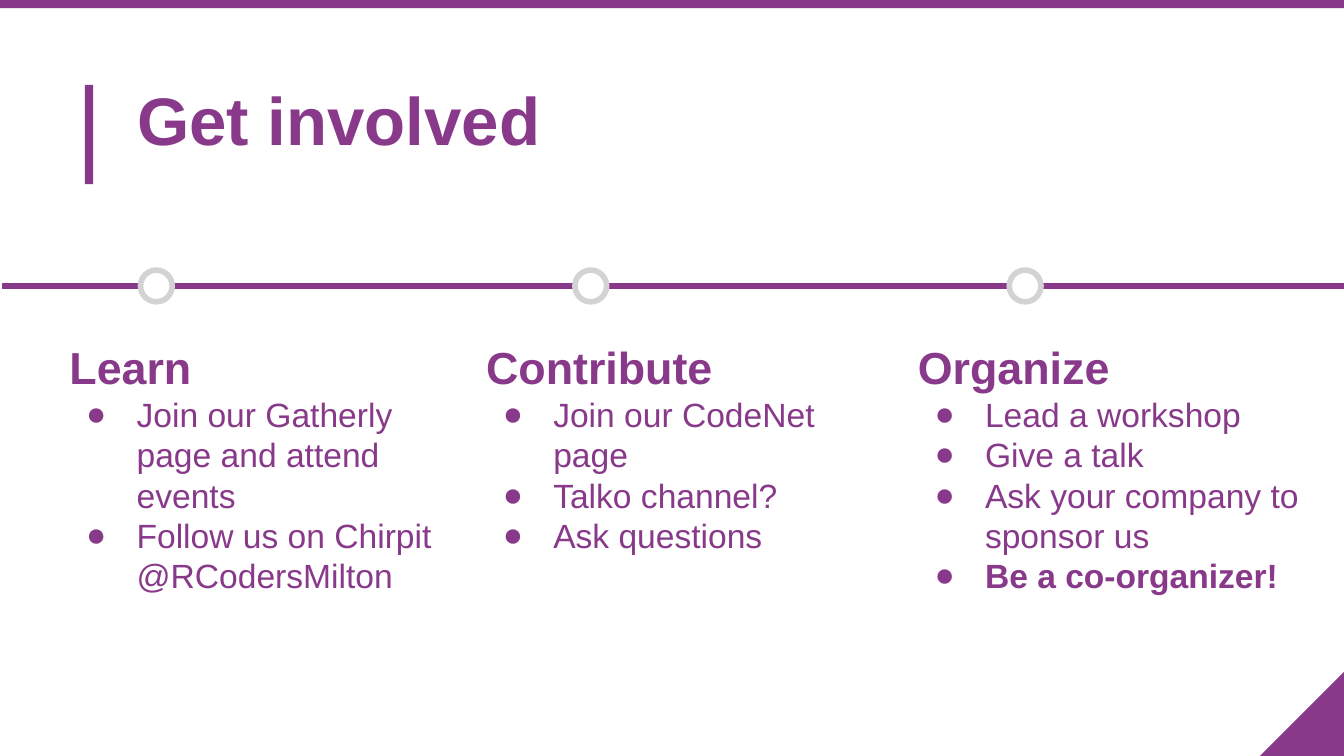
import pptx
import pptx.dml.color
import pptx.enum.shapes
import pptx.enum.text
import pptx.oxml.ns
import pptx.util
from lxml import etree

Pt = pptx.util.Pt
SHAPE = pptx.enum.shapes.MSO_SHAPE
PURPLE = pptx.dml.color.RGBColor(0x88, 0x39, 0x8A)
GREY = pptx.dml.color.RGBColor(0xD3, 0xD3, 0xD3)
WHITE = pptx.dml.color.RGBColor(0xFF, 0xFF, 0xFF)
FONT = "Arial"
SLIDE_W, SLIDE_H = 720, 405

# Column left edge, heading, and bullets as (text, bold)
COLUMNS = [
    (30.1, "Learn", [("Join our Gatherly page and attend events", False),
                     ("Follow us on Chirpit @RCodersMilton", False)]),
    (253.3, "Contribute", [("Join our CodeNet page", False),
                           ("Talko channel?", False),
                           ("Ask questions", False)]),
    (484.6, "Organize", [("Lead a workshop", False),
                         ("Give a talk", False),
                         ("Ask your company to sponsor us", False),
                         ("Be a co-organizer!", True)]),
]


def add_filled(slide, kind, left, top, width, height, fill=PURPLE):
    shape = slide.shapes.add_shape(kind, Pt(left), Pt(top), Pt(width), Pt(height))
    shape.shadow.inherit = False
    shape.fill.solid()
    shape.fill.fore_color.rgb = fill
    shape.line.fill.background()
    return shape


def add_run(paragraph, text, size, bold, spacing):
    paragraph.alignment = pptx.enum.text.PP_ALIGN.LEFT
    paragraph.line_spacing = Pt(spacing)
    paragraph.space_before = Pt(0)
    run = paragraph.add_run()
    run.text = text
    run.font.name = FONT
    run.font.size = Pt(size)
    run.font.bold = bold
    run.font.color.rgb = PURPLE


def set_frame(frame):
    frame.word_wrap = True
    frame.auto_size = pptx.enum.text.MSO_AUTO_SIZE.NONE
    frame.vertical_anchor = pptx.enum.text.MSO_ANCHOR.TOP
    frame.margin_left = frame.margin_right = Pt(7.2)
    frame.margin_top = frame.margin_bottom = Pt(7.2)


def add_bullet(paragraph):
    props = paragraph._p.get_or_add_pPr()
    props.set("marL", str(Pt(36)))
    props.set("indent", str(-Pt(27)))
    qn = pptx.oxml.ns.qn
    color = etree.SubElement(props, qn("a:buClr"))
    etree.SubElement(color, qn("a:srgbClr"), val=str(PURPLE))
    etree.SubElement(props, qn("a:buFont"), typeface=FONT)
    etree.SubElement(props, qn("a:buChar"), char="●")


def add_decoration(slide, width, height):
    corner = 45
    triangle = add_filled(slide, SHAPE.RIGHT_TRIANGLE,
                          width - corner, height - corner, corner, corner)
    triangle._element.spPr.get_or_add_xfrm().set("flipH", "1")
    add_filled(slide, SHAPE.RECTANGLE, 45.4, 45.4, 4.5, 53.2)  # title accent
    add_filled(slide, SHAPE.RECTANGLE, 0, 0, width, 4.4)  # top band


def add_title(slide, left, top, width, height):
    title = slide.shapes.title
    title.left, title.top = Pt(left), Pt(top)
    title.width, title.height = Pt(width), Pt(height)
    set_frame(title.text_frame)
    add_run(title.text_frame.paragraphs[0], "Get involved", 36, True, 45)


def add_timeline(slide, left, right, middle):
    line = slide.shapes.add_connector(pptx.enum.shapes.MSO_CONNECTOR.STRAIGHT,
                                      Pt(left), Pt(middle), Pt(right), Pt(middle))
    line.line.color.rgb = PURPLE
    line.line.width = Pt(3)
    etree.SubElement(line._element.spPr, pptx.oxml.ns.qn("a:effectLst"))

    # Evenly spaced milestones
    diameter, first, step = 17, 75.3, 232.7
    for index in range(len(COLUMNS)):
        milestone = add_filled(slide, SHAPE.OVAL, first + index * step,
                               middle - diameter / 2, diameter, diameter, WHITE)
        milestone.line.color.rgb = GREY
        milestone.line.width = Pt(3)


def add_column(slide, left, top, width, height, heading, bullets):
    column = slide.shapes.add_textbox(Pt(left), Pt(top), Pt(width), Pt(height))
    frame = column.text_frame
    set_frame(frame)
    add_run(frame.paragraphs[0], heading, 24, True, 28.8)
    for text, bold in bullets:
        paragraph = frame.add_paragraph()
        add_run(paragraph, text, 18, bold, 21.6)
        add_bullet(paragraph)


def main():
    deck = pptx.Presentation()
    deck.slide_width, deck.slide_height = Pt(SLIDE_W), Pt(SLIDE_H)
    slide = deck.slides.add_slide(deck.slide_layouts[5])
    slide.background.fill.solid()
    slide.background.fill.fore_color.rgb = WHITE

    add_decoration(slide, SLIDE_W, SLIDE_H)
    add_title(slide, 66.4, 33.1, 254, 67.7)
    add_timeline(slide, 1, SLIDE_W, 153.2)
    for left, heading, bullets in COLUMNS:
        add_column(slide, left, 175, 219.6, 165.6, heading, bullets)

    deck.save("out.pptx")


if __name__ == "__main__":
    main()
